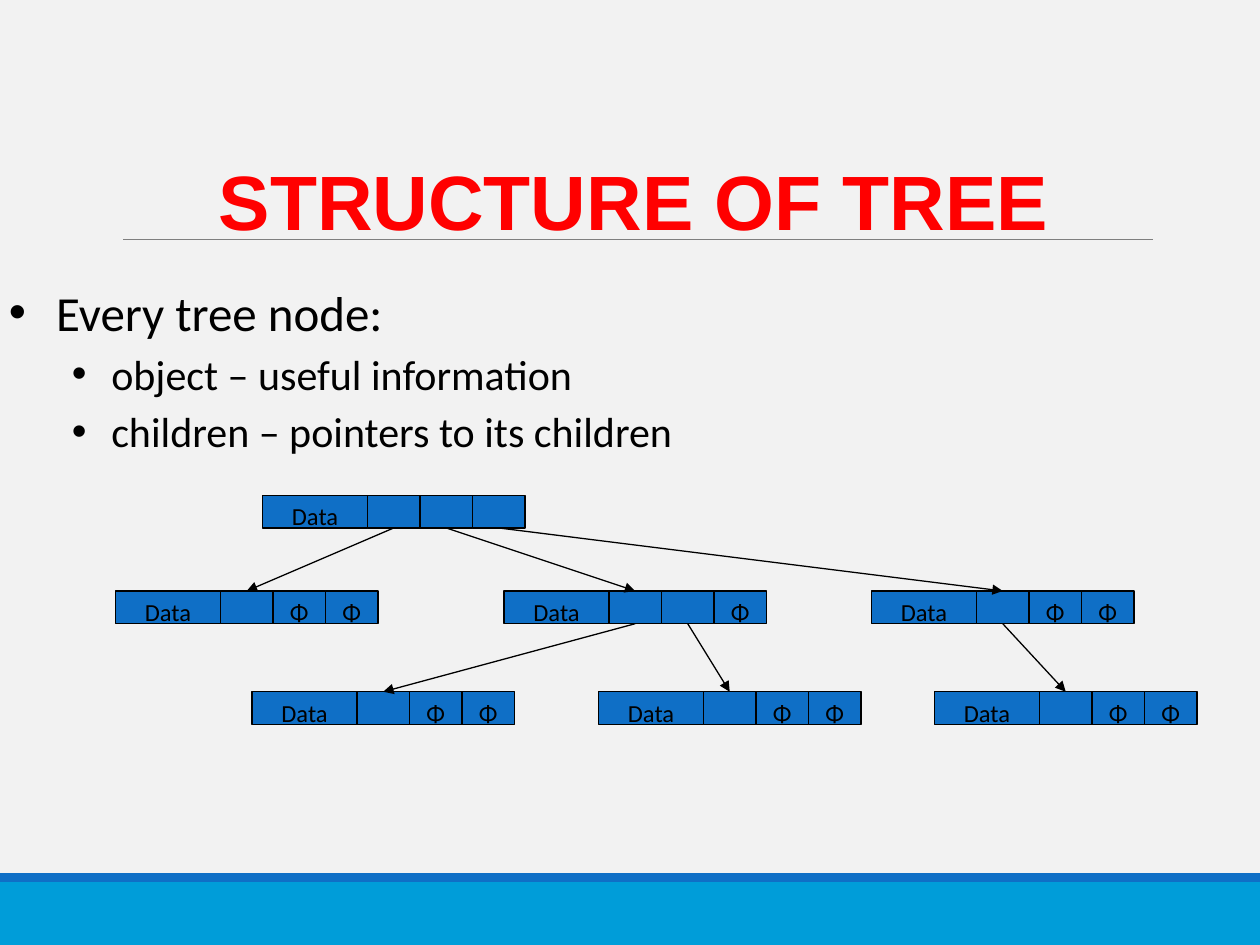
from pptx import Presentation
from pptx.dml.color import RGBColor
from pptx.enum.shapes import MSO_CONNECTOR, MSO_SHAPE
from pptx.enum.text import MSO_ANCHOR, PP_ALIGN
from pptx.oxml.ns import qn
from pptx.util import Pt
from lxml.etree import SubElement

# Content
TITLE = "STRUCTURE OF TREE"
LINES = [
    (0, "Every tree node:"),
    (1, "object – useful information"),
    (1, "children – pointers to its children"),
]
# Node: left, row, pointer cells
NODES = {
    "root": (150, 0, ["", "", ""]),
    "left": (66, 1, ["", "Φ", "Φ"]),
    "mid": (288, 1, ["", "", "Φ"]),
    "right": (498, 1, ["", "Φ", "Φ"]),
    "leaf1": (144, 2, ["", "Φ", "Φ"]),
    "leaf2": (342, 2, ["", "Φ", "Φ"]),
    "leaf3": (534, 2, ["", "Φ", "Φ"]),
}
# Link: parent, pointer index, child
LINKS = [
    ("root", 0, "left"), ("root", 1, "mid"), ("root", 2, "right"),
    ("mid", 0, "leaf1"), ("mid", 1, "leaf2"), ("right", 0, "leaf3"),
]

# Formats
HUES = {"back": "F2F2F2", "band": "009DD9", "blue": "0F6FC6",
        "rule": "7F7F7F", "ink": "000000", "title": "FF0000"}
FONTS = {
    "title": {"name": "Arial", "size": Pt(44), "bold": True},
    "cell": {"name": "Calibri", "size": Pt(14)},
    0: {"name": "Calibri", "size": Pt(28)},
    1: {"name": "Calibri", "size": Pt(24)},
}
# Level: left margin, hanging indent, space before
LEVELS = [(27, 27, 0), (58.5, 22.5, 4)]
ROWS = [283, 337.7, 395.3]
DATA, CELL, HIGH = 60, 30, 18.7


def hue(key):
    return RGBColor.from_string(HUES[key])


def style(font, kind, key="ink"):
    for name, value in FONTS[kind].items():
        setattr(font, name, value)
    font.color.rgb = hue(key)


def rect(shapes, x, y, w, h, fill, edge=None):
    box = shapes.add_shape(MSO_SHAPE.RECTANGLE, Pt(x), Pt(y), Pt(w), Pt(h))
    box.shadow.inherit = False
    box.fill.solid()
    box.fill.fore_color.rgb = hue(fill)
    if edge:
        box.line.color.rgb = hue(edge)
        box.line.width = Pt(0.75)
    else:
        box.line.fill.background()
    return box


def line(x1, y1, x2, y2, key, head=False):
    link = slide.shapes.add_connector(
        MSO_CONNECTOR.STRAIGHT, Pt(x1), Pt(y1), Pt(x2), Pt(y2))
    link.line.color.rgb = hue(key)
    link.line.width = Pt(0.75)
    if head:
        SubElement(link.line._get_or_add_ln(), qn("a:tailEnd"), type="triangle")
    SubElement(link._element.spPr, qn("a:effectLst"))


def frame(x, y, w, h):
    text = slide.shapes.add_textbox(Pt(x), Pt(y), Pt(w), Pt(h)).text_frame
    text.word_wrap = True
    return text


def bullet(para, level):
    left, hang, space = LEVELS[level]
    para.level = level
    if space:
        para.space_before = Pt(space)
    props = para._p.get_or_add_pPr()
    props.set("marL", str(Pt(left)))
    props.set("indent", str(-Pt(hang)))
    SubElement(SubElement(props, qn("a:buClr")), qn("a:srgbClr"), val=HUES["ink"])
    SubElement(props, qn("a:buFont"), typeface="Arial")
    SubElement(props, qn("a:buChar"), char="•")


def middle(node, index):
    return NODES[node][0] + DATA + (index + 0.5) * CELL


deck = Presentation()
deck.slide_width, deck.slide_height = Pt(720), Pt(540)
slide = deck.slides.add_slide(deck.slide_layouts[6])
slide.background.fill.solid()
slide.background.fill.fore_color.rgb = hue("back")

# Footer bands and title rule
rect(slide.shapes, 0, 504, 720, 36, "band")
rect(slide.shapes, 0, 499, 720, 5, "blue")
line(70.5, 136.8, 659, 136.8, "rule")

# Bulleted text
body = frame(-2, 157.7, 724, 256)
for n, (level, words) in enumerate(LINES):
    para = body.add_paragraph() if n else body.paragraphs[0]
    bullet(para, level)
    run = para.add_run()
    run.text = words
    style(run.font, level)

# Tree nodes
for left, row, cells in NODES.values():
    group = slide.shapes.add_group_shape()
    x = left
    for n, words in enumerate(["Data"] + cells):
        wide = CELL if n else DATA
        box = rect(group.shapes, x, ROWS[row], wide, HIGH, "blue", "ink")
        x += wide
        if words:
            text = box.text_frame
            text.vertical_anchor = MSO_ANCHOR.TOP
            text.text = words
            para = text.paragraphs[0]
            para.alignment = PP_ALIGN.CENTER
            style(para.runs[0].font, "cell")

# Arrows from pointer cells to children
for node, index, child in LINKS:
    line(middle(node, index), ROWS[NODES[node][1]] + HIGH,
         middle(child, 0), ROWS[NODES[child][1]], "ink", True)

# Title
head = frame(118, 80, 502, 78)
head.margin_top = Pt(7.6)
head.text = TITLE
style(head.paragraphs[0].runs[0].font, "title", "title")

deck.save("out.pptx")
